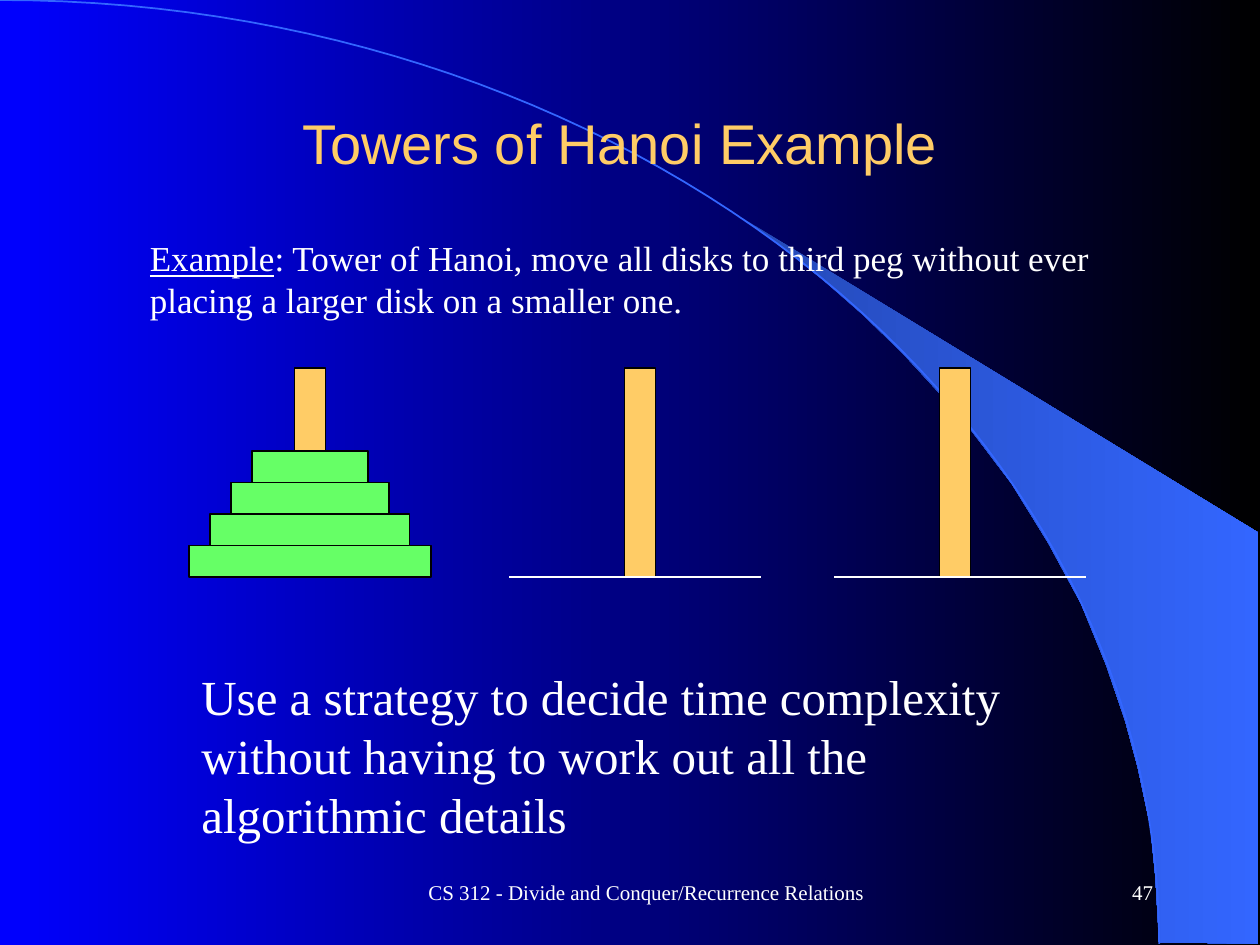
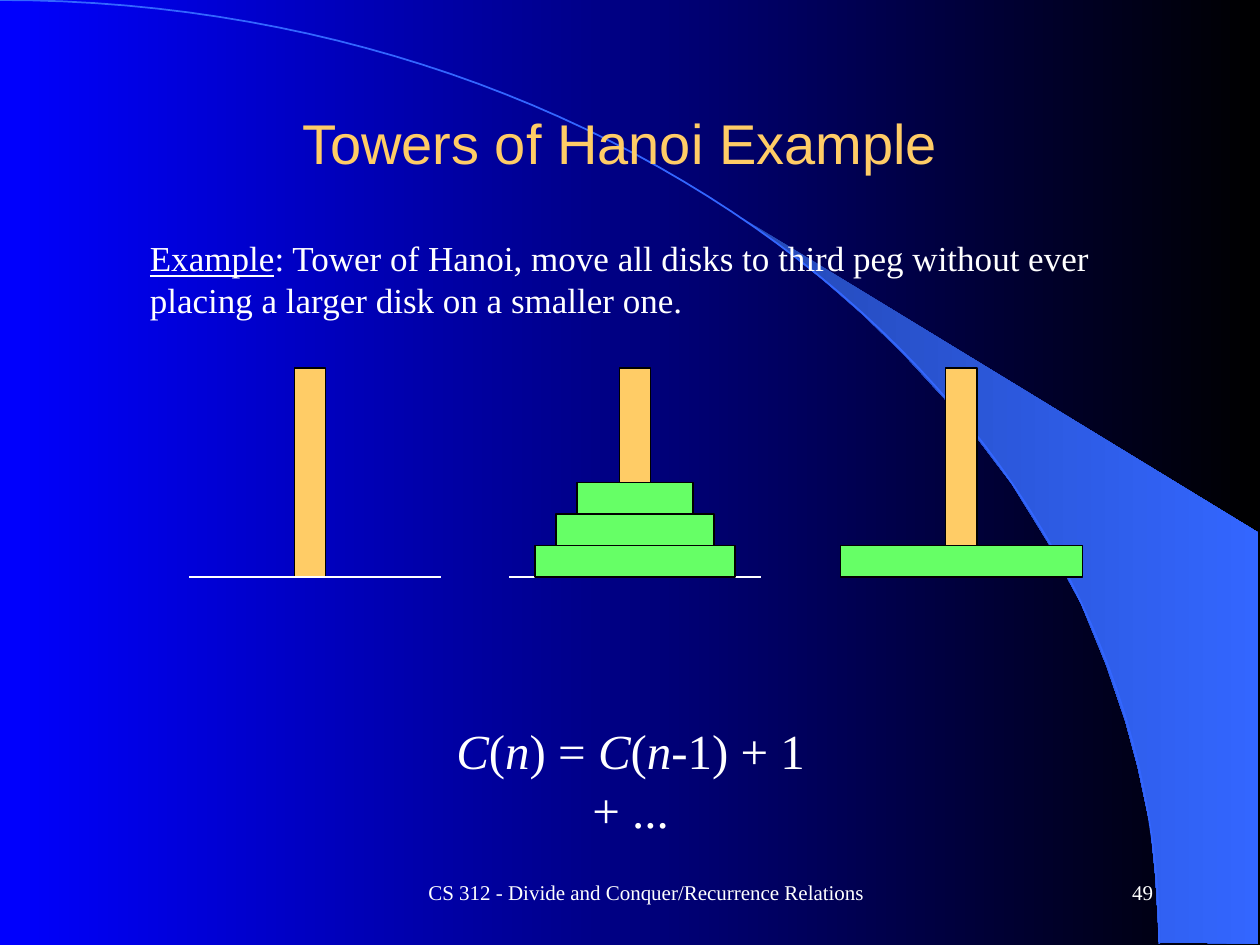
import pptx
import pptx.dml.color
import pptx.enum.shapes
import pptx.enum.text
import pptx.oxml.ns
import pptx.util
from dataclasses import dataclass
from typing import Any, NamedTuple, Optional
import lxml.etree

Inches = pptx.util.Inches
Align = pptx.enum.text.PP_ALIGN
Anchor = pptx.enum.text.MSO_ANCHOR


@dataclass(frozen=True)
class Theme:
    deep_blue: str = "0000FF"
    black: str = "000000"
    swoosh_dark: str = "2449B6"
    swoosh_light: str = "3366FF"
    gold: str = "FFCC66"
    green: str = "66FF66"
    white: str = "FFFFFF"
    heading_font: str = "Arial"
    text_font: str = "Times New Roman"
    title_size: int = 32
    statement_size: int = 28
    example_size: int = 20
    footer_size: int = 12
    outline: float = 0.75
    arc_line: float = 1


class Box(NamedTuple):
    left: float
    top: float
    width: float
    height: float


class Span(NamedTuple):
    text: str
    formats: dict[str, Any] = {}


class Tower(NamedTuple):
    center: float
    disks: tuple[int, ...] = ()
    base_left: Optional[float] = None


class HanoiPage(NamedTuple):
    number: int
    towers: tuple[Tower, ...]
    statement: tuple[Span, ...]
    statement_box: Box
    statement_align: Align


THEME = Theme()
GROUND = 4.58
PEG_TOP = 2.92
PEG_WIDTH = 0.25
DISK_HEIGHT = 0.25
SMALLEST_DISK = 0.92
DISK_STEP = 1 / 3
BASE_WIDTH = 2
TITLE = "Towers of Hanoi Example"
TITLE_BOX = Box(0.67, 0.67, 8.5, 0.92)
EXAMPLE_BOX = Box(0.71, 1.83, 8.5, 1.17)
FOOTER = "CS 312 - Divide and Conquer/Recurrence Relations"
FOOTER_BOX = Box(3.17, 6.83, 3.92, 0.5)
NUMBER_BOX = Box(7.17, 6.83, 2.08, 0.5)
EXAMPLE = (
    Span("Example", {"underline": True}),
    Span(": Tower of Hanoi, move all disks to third peg without ever "
         "placing a larger disk on a smaller one."),
)
SWOOSH = (
    (9.2, 7.48), (9.99, 7.49), (9.99, 4.23), (5.89, 1.73), (6.24, 1.99),
    (6.53, 2.22), (6.85, 2.5), (7.16, 2.8), (7.62, 3.3), (8.03, 3.84),
    (8.32, 4.31), (8.58, 4.79), (8.78, 5.28), (8.93, 5.72), (9.03, 6.09),
    (9.13, 6.56), (9.17, 6.96),
)
ARC_CONTROLS = ((0, 0), (5.08, 0), (9.2, 3.35), (9.2, 7.49))
ARC_STEPS = 60
ITALIC = {"italic": True}

PAGES = (
    HanoiPage(
        47,
        (Tower(2.46, (3, 2, 1, 0)), Tower(5.08, (), 4.04), Tower(7.58, (), 6.62)),
        (Span("Use a strategy to decide time complexity without having "
              "to work out all the algorithmic details"),),
        Box(1.5, 5.24, 7.12, 1.51),
        Align.LEFT,
    ),
    HanoiPage(
        49,
        (Tower(2.46, (), 1.5), Tower(5.04, (2, 1, 0), 4.04), Tower(7.63, (3,))),
        (Span("C", ITALIC), Span("("), Span("n", ITALIC), Span(") = "),
         Span("C", ITALIC), Span("("), Span("n", ITALIC), Span("-1) + 1 + ...")),
        Box(3.39, 5.67, 3.23, 1),
        Align.CENTER,
    ),
)


def apply_formats(target: Any, formats: dict[str, Any]) -> None:
    for name, value in formats.items():
        setattr(target, name, value)


def color(code: str) -> pptx.dml.color.RGBColor:
    return pptx.dml.color.RGBColor.from_string(code)


def fill_gradient(fill: Any, start: str, end: str) -> None:
    fill.gradient()
    fill.gradient_angle = 0
    for stop, code in zip(fill.gradient_stops, (start, end)):
        stop.color.rgb = color(code)


def set_line(line: Any, code: str, width: float) -> None:
    line.color.rgb = color(code)
    line.width = pptx.util.Pt(width)


def write_text(shape: Any, spans: tuple[Span, ...], size: int,
               align: Align = Align.LEFT, anchor: Anchor = Anchor.TOP,
               font: str = THEME.text_font, code: str = THEME.white) -> Any:
    frame = shape.text_frame
    apply_formats(frame, {
        "word_wrap": True, "vertical_anchor": anchor,
        "auto_size": pptx.enum.text.MSO_AUTO_SIZE.NONE,
        "margin_left": Inches(0.1), "margin_right": Inches(0.1),
        "margin_top": Inches(0.05), "margin_bottom": Inches(0.05),
    })
    para = frame.paragraphs[0]
    para.alignment = align
    for span in spans:
        run = para.add_run()
        run.text = span.text
        run.font.color.rgb = color(code)
        apply_formats(run.font, {"name": font, "size": pptx.util.Pt(size),
                                 **span.formats})
    return frame


def add_text(page: Any, box: Box, spans: tuple[Span, ...], size: int,
             align: Align = Align.LEFT, anchor: Anchor = Anchor.TOP) -> Any:
    shape = page.shapes.add_textbox(*map(Inches, box))
    return write_text(shape, spans, size, align, anchor)


def arc_point(t: float) -> tuple[float, float]:
    weights = ((1 - t) ** 3, 3 * t * (1 - t) ** 2, 3 * t ** 2 * (1 - t), t ** 3)
    x, y = (sum(w * p[axis] for w, p in zip(weights, ARC_CONTROLS))
            for axis in (0, 1))
    return x, y


def add_outline(page: Any, points: tuple[tuple[float, float], ...],
                close: bool) -> Any:
    start, *rest = [(Inches(x), Inches(y)) for x, y in points]
    builder = page.shapes.build_freeform(*start)
    builder.add_line_segments(rest, close=close)
    shape = builder.convert_to_shape()
    shape.shadow.inherit = False
    return shape


def add_backdrop(page: Any) -> None:
    swoosh = add_outline(page, SWOOSH, True)
    fill_gradient(swoosh.fill, THEME.swoosh_dark, THEME.swoosh_light)
    swoosh.line.fill.background()
    arc_points = tuple(arc_point(i / ARC_STEPS) for i in range(ARC_STEPS + 1))
    arc = add_outline(page, arc_points, False)
    arc.fill.background()
    set_line(arc.line, THEME.swoosh_light, THEME.arc_line)


def add_block(page: Any, box: Box, code: str) -> None:
    block = page.shapes.add_shape(
        pptx.enum.shapes.MSO_SHAPE.RECTANGLE, *map(Inches, box))
    block.shadow.inherit = False
    block.fill.solid()
    block.fill.fore_color.rgb = color(code)
    set_line(block.line, THEME.black, THEME.outline)


def add_base(page: Any, left: float) -> None:
    base = page.shapes.add_connector(
        pptx.enum.shapes.MSO_CONNECTOR.STRAIGHT, Inches(left), Inches(GROUND),
        Inches(left + BASE_WIDTH), Inches(GROUND))
    set_line(base.line, THEME.white, THEME.outline)
    lxml.etree.SubElement(base._element.spPr, pptx.oxml.ns.qn("a:effectLst"))


def add_tower(page: Any, tower: Tower) -> None:
    peg_height = GROUND - PEG_TOP - len(tower.disks) * DISK_HEIGHT
    add_block(page, Box(tower.center - PEG_WIDTH / 2, PEG_TOP,
                        PEG_WIDTH, peg_height), THEME.gold)
    if tower.base_left is not None:
        add_base(page, tower.base_left)
    for level, disk in enumerate(tower.disks, start=1):
        width = SMALLEST_DISK + disk * DISK_STEP
        add_block(page, Box(tower.center - width / 2, GROUND - level * DISK_HEIGHT,
                            width, DISK_HEIGHT), THEME.green)


def add_page(deck: Any, content: HanoiPage) -> None:
    page = deck.slides.add_slide(deck.slide_layouts[5])
    add_backdrop(page)
    title = page.shapes.title
    page.shapes._spTree.append(title._element)
    apply_formats(title, dict(zip(Box._fields, map(Inches, TITLE_BOX))))
    write_text(title, (Span(TITLE),), THEME.title_size, Align.CENTER,
               Anchor.MIDDLE, THEME.heading_font, THEME.gold)
    add_text(page, FOOTER_BOX, (Span(FOOTER),), THEME.footer_size,
             Align.CENTER, Anchor.MIDDLE)
    add_text(page, NUMBER_BOX, (Span(str(content.number)),), THEME.footer_size,
             Align.RIGHT, Anchor.MIDDLE)
    example = add_text(page, EXAMPLE_BOX, EXAMPLE, THEME.example_size)
    example.margin_left = Inches(0.48)
    example.paragraphs[0].space_before = pptx.util.Pt(4)
    for tower in content.towers:
        add_tower(page, tower)
    add_text(page, content.statement_box, content.statement,
             THEME.statement_size, content.statement_align)


def main() -> None:
    deck = pptx.Presentation()
    apply_formats(deck, {"slide_width": Inches(10), "slide_height": Inches(7.5)})
    fill_gradient(deck.slide_master.background.fill, THEME.deep_blue, THEME.black)
    for content in PAGES:
        add_page(deck, content)
    deck.save("out.pptx")


if __name__ == "__main__":
    main()
